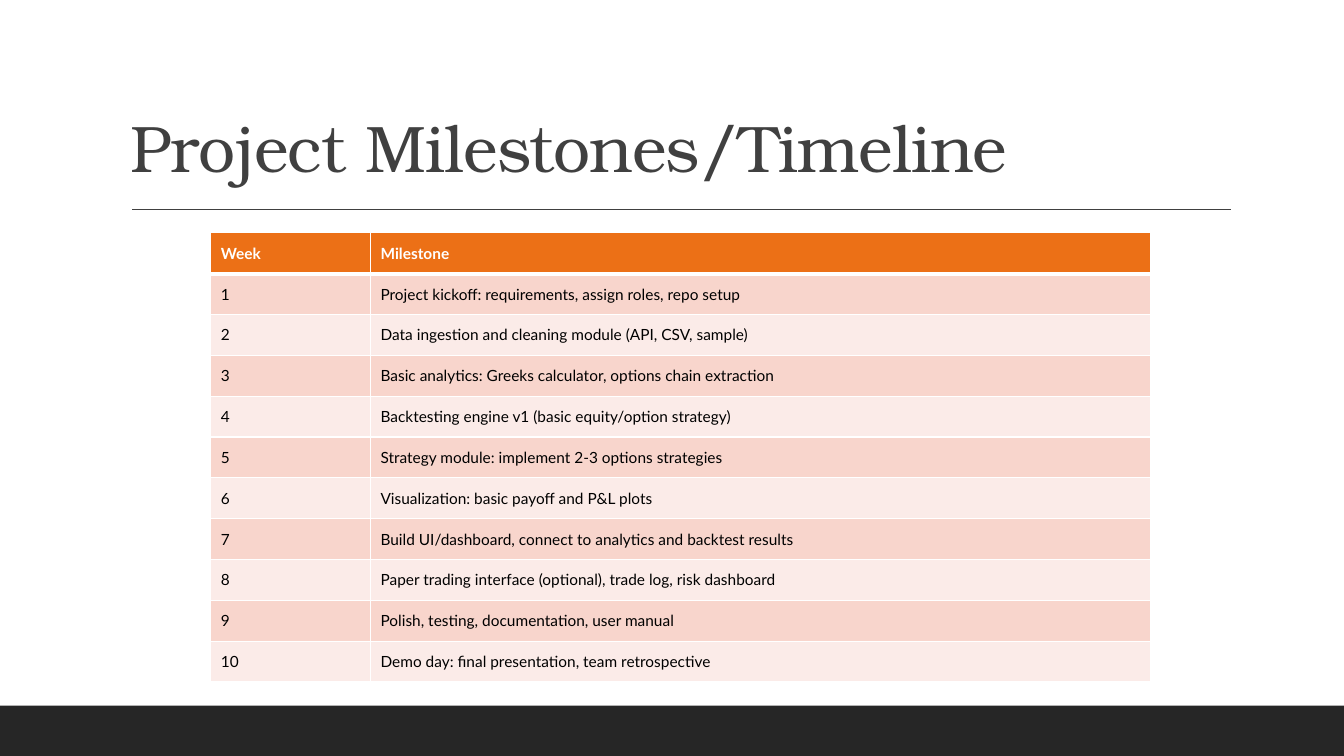
from lxml import etree
from pptx import Presentation
from pptx.dml.color import RGBColor
from pptx.enum.shapes import MSO_CONNECTOR as Connector, MSO_SHAPE as Shape
from pptx.enum.text import MSO_ANCHOR as Anchor
from pptx.oxml.ns import qn
from pptx.util import Inches, Pt

COLORS = {
    "footer": "262626", "title": "404040", "header": "EC7016",
    "odd": "F8D5CC", "even": "FBEBE8", "white": "FFFFFF", "black": "000000",
}
TITLE_FONT, BODY_FONT = "TeX Gyre Bonum", "Lato"
SLIDE_W, SLIDE_H = 13.33, 7.5
MILESTONES = [
    "Project kickoff: requirements, assign roles, repo setup",
    "Data ingestion and cleaning module (API, CSV, sample)",
    "Basic analytics: Greeks calculator, options chain extraction",
    "Backtesting engine v1 (basic equity/option strategy)",
    "Strategy module: implement 2-3 options strategies",
    "Visualization: basic payoff and P&L plots",
    "Build UI/dashboard, connect to analytics and backtest results",
    "Paper trading interface (optional), trade log, risk dashboard",
    "Polish, testing, documentation, user manual",
    "Demo day: final presentation, team retrospective",
]


def color(name):
    return RGBColor.from_string(COLORS[name])


def style_run(run, font, size, color_name, bold=False):
    run.font.name = font
    run.font.size = Pt(size)
    run.font.bold = bold
    run.font.color.rgb = color(color_name)


def add_footer(slide, box):
    bar = slide.shapes.add_shape(Shape.RECTANGLE, *map(Inches, box))
    bar.shadow.inherit = False
    bar.fill.solid()
    bar.fill.fore_color.rgb = color("footer")
    bar.line.fill.background()


def add_heading(slide, box):
    left, top, width, height = box
    # Title, resting on the bottom of its box
    title = slide.shapes.add_textbox(*map(Inches, box))
    frame = title.text_frame
    frame.word_wrap = True
    frame.vertical_anchor = Anchor.BOTTOM
    frame.text = "Project Milestones/Timeline"
    frame.paragraphs[0].line_spacing = 0.9
    run = frame.paragraphs[0].runs[0]
    style_run(run, TITLE_FONT, 47, "title")
    run.font._element.set("spc", "-50")
    # Rule beneath the title
    rule_left, rule_top = left + 0.11, top + height + 0.18
    rule = slide.shapes.add_connector(
        Connector.STRAIGHT, Inches(rule_left), Inches(rule_top),
        Inches(rule_left + 10.9), Inches(rule_top))
    rule.line.color.rgb = color("title")
    rule.line.width = Pt(1)
    etree.SubElement(rule._element.spPr, qn("a:effectLst"))


def set_borders(cell, widths):
    properties = cell._tc.get_or_add_tcPr()
    for side, width in widths.items():
        border = etree.SubElement(properties, qn(f"a:{side}"), w=str(Pt(width)))
        fill = etree.SubElement(border, qn("a:solidFill"))
        etree.SubElement(fill, qn("a:srgbClr"), val=COLORS["white"])


def add_timeline(slide, box, week_share):
    rows = [("Week", "Milestone")]
    rows += [(str(week), milestone) for week, milestone in enumerate(MILESTONES, 1)]
    table = slide.shapes.add_table(len(rows), 2, *map(Inches, box)).table
    width, height = box[2:]
    table.columns[0].width = Inches(width * week_share)
    table.columns[1].width = Inches(width * (1 - week_share))
    for index, texts in enumerate(rows):
        table.rows[index].height = Inches(height / len(rows))
        is_header = index == 0
        fill_name = "header" if is_header else "odd" if index % 2 else "even"
        for column, text in enumerate(texts):
            cell = table.cell(index, column)
            cell.text = text
            cell.vertical_anchor = Anchor.MIDDLE
            style_run(cell.text_frame.paragraphs[0].runs[0], BODY_FONT, 11,
                      "white" if is_header else "black", is_header)
            # Thick line between the header and the first week
            set_borders(cell, {"lnL": 1, "lnR": 1, "lnT": 3 if index == 1 else 1,
                               "lnB": 3 if is_header else 1})
            cell.fill.solid()
            cell.fill.fore_color.rgb = color(fill_name)


def main():
    deck = Presentation()
    deck.slide_width, deck.slide_height = Inches(SLIDE_W), Inches(SLIDE_H)
    slide = deck.slides.add_slide(deck.slide_layouts[6])
    add_footer(slide, (0, SLIDE_H - 0.5, SLIDE_W, 0.5))
    add_heading(slide, (1.2, 0.31, 11, 1.59))
    add_timeline(slide, (2.09, 2.31, 9.32, 4.46), week_share=0.17)
    deck.save("out.pptx")


if __name__ == "__main__":
    main()
